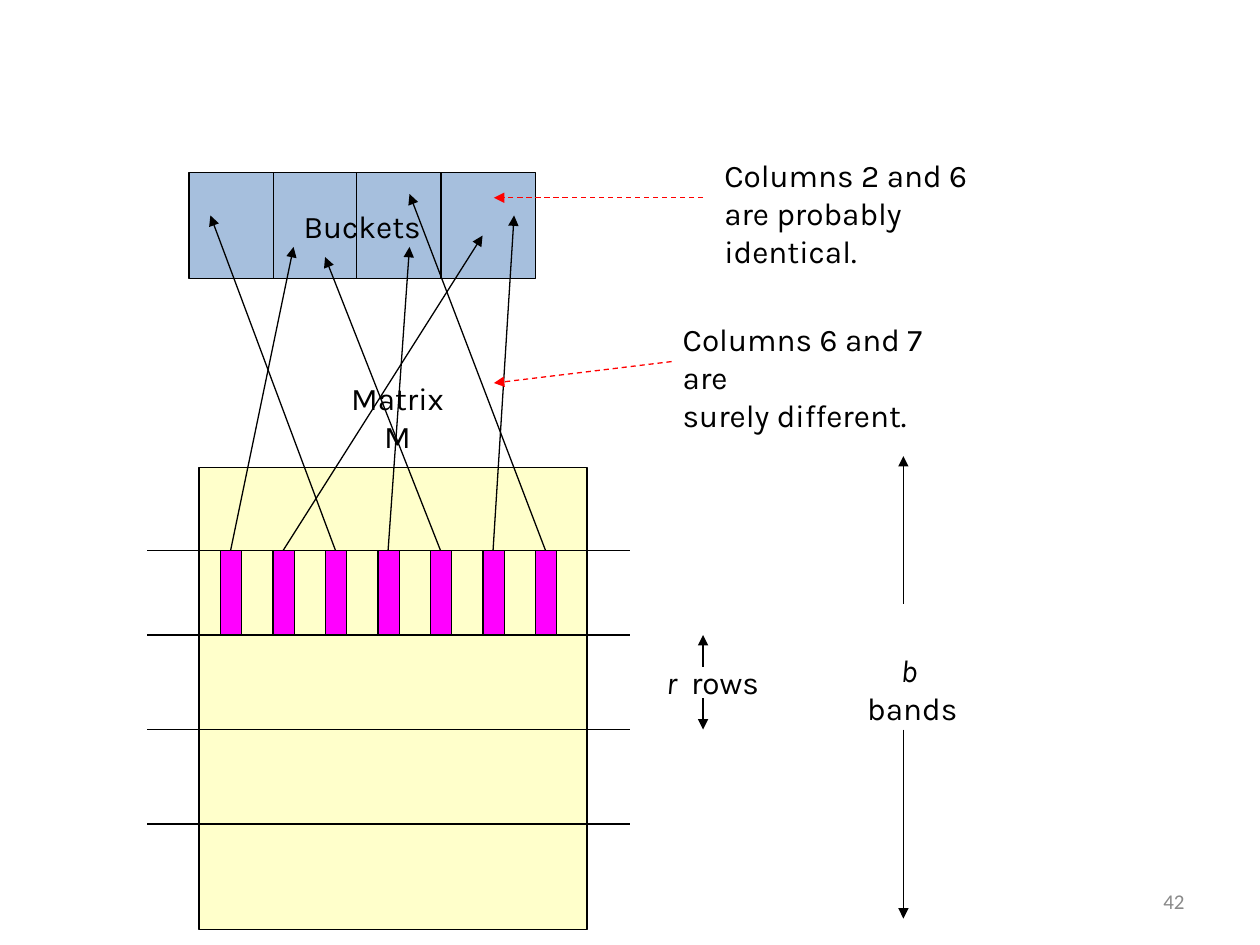
"""Build the locality-sensitive hashing slide: bands of matrix M hashed to buckets."""
from typing import NamedTuple, Optional

import lxml.etree
import pptx
import pptx.dml.color
import pptx.enum.dml
import pptx.enum.shapes
import pptx.enum.text
import pptx.oxml.ns
import pptx.util

Inches = pptx.util.Inches
Align = pptx.enum.text.PP_ALIGN
Anchor = pptx.enum.text.MSO_ANCHOR
BLACK, RED, MAGENTA = "000000", "FF0000", "FF00FF"
BAND_TOP, BAND_BOTTOM = 4.37, 5.04
BUCKET_TOP, BUCKET_BOTTOM = 1.37, 2.21


class Run(NamedTuple):
    text: str
    italic: bool = False


class Label(NamedTuple):
    left: float
    top: float
    width: float
    height: float
    paragraphs: list[list[Run]]
    align: Align = Align.CENTER
    size: float = 18
    font: str = "Karla"
    color: str = BLACK
    anchor: Anchor = Anchor.TOP


class Box(NamedTuple):
    left: float
    top: float
    width: float
    height: float
    fill: str
    opacity: Optional[int] = None


class Line(NamedTuple):
    x1: float
    y1: float
    x2: float
    y2: float
    arrow: bool = False
    color: str = BLACK
    dashed: bool = False


def rgb(color: str) -> pptx.dml.color.RGBColor:
    return pptx.dml.color.RGBColor.from_string(color)


def add_child(parent, tag: str, **attributes: str):
    return lxml.etree.SubElement(parent, pptx.oxml.ns.qn(tag), attributes)


def write(frame, label: Label) -> None:
    frame.vertical_anchor = label.anchor
    for index, runs in enumerate(label.paragraphs):
        paragraph = frame.add_paragraph() if index else frame.paragraphs[0]
        paragraph.alignment = label.align
        for part in runs:
            run = paragraph.add_run()
            run.text = part.text
            run.font.name = label.font
            run.font.size = pptx.util.Pt(label.size)
            run.font.italic = part.italic
            run.font.color.rgb = rgb(label.color)


def draw_label(slide, label: Label) -> None:
    textbox = slide.shapes.add_textbox(*map(Inches, label[:4]))
    textbox.text_frame.word_wrap = True
    write(textbox.text_frame, label)


def draw_box(slide, box: Box):
    rectangle = slide.shapes.add_shape(
        pptx.enum.shapes.MSO_SHAPE.RECTANGLE, *map(Inches, box[:4]))
    rectangle.shadow.inherit = False
    rectangle.fill.solid()
    rectangle.fill.fore_color.rgb = rgb(box.fill)
    rectangle.line.color.rgb = rgb(BLACK)
    rectangle.line.width = pptx.util.Pt(0.75)
    if box.opacity is not None:
        fill_color = rectangle.fill._xPr.find(".//" + pptx.oxml.ns.qn("a:srgbClr"))
        add_child(fill_color, "a:alpha", val=str(box.opacity * 1000))
    return rectangle


def draw_line(slide, line: Line) -> None:
    connector = slide.shapes.add_connector(
        pptx.enum.shapes.MSO_CONNECTOR.STRAIGHT, *map(Inches, line[:4]))
    connector.line.color.rgb = rgb(line.color)
    connector.line.width = pptx.util.Pt(0.75)
    if line.dashed:
        connector.line.dash_style = pptx.enum.dml.MSO_LINE.DASH
    if line.arrow:
        add_child(connector.line._get_or_add_ln(), "a:tailEnd", type="triangle")
    add_child(connector._element.spPr, "a:effectLst")


def main() -> None:
    deck = pptx.Presentation()
    deck.slide_width, deck.slide_height = Inches(10), Inches(7.5)
    slide = deck.slides.add_slide(deck.slide_layouts[6])

    matrix = Box(1.58, 3.71, 3.08, 3.67, "FFFF99", 50)
    buckets = Box(1.5, BUCKET_TOP, 2.75, BUCKET_BOTTOM - BUCKET_TOP, "4F81BD", 50)
    buckets_label = Label(*buckets[:4], [[Run("Buckets")]], anchor=Anchor.MIDDLE)
    labels = [
        Label(7.17, 6.95, 2.33, 0.4, [[Run("42")]], Align.RIGHT, 12,
              "Calibri", "898989", Anchor.MIDDLE),
        Label(2.58, 2.96, 1.15, 0.4, [[Run("Matrix M")]]),
        Label(5.17, 5.21, 0.97, 0.4, [[Run("r ", True), Run(" rows")]]),
        Label(6.7, 5.12, 1.08, 0.4, [[Run("b ", True), Run(" bands")]]),
        Label(5.65, 1.19, 2.66, 0.7,
              [[Run("Columns 2 and 6")], [Run("are probably identical.")]], Align.LEFT),
        Label(5.32, 2.49, 2.49, 0.7,
              [[Run("Columns 6 and 7 are")], [Run("surely different.")]], Align.LEFT),
    ]
    band_edges = [Line(1.17, y, 5, y) for y in (BAND_TOP, BAND_BOTTOM, 5.79, 6.54)]
    extents = [
        Line(5.58, 5.29, 5.58, 5.04, True),
        Line(5.58, 5.54, 5.58, 5.79, True),
        Line(7.17, 4.79, 7.17, 3.62, True),
        Line(7.17, 5.79, 7.17, 7.29, True),
    ]
    bucket_dividers = [Line(x, BUCKET_TOP, x, BUCKET_BOTTOM) for x in (2.17, 2.83, 3.5)]
    hash_targets = [(2.33, 1.96), (3.83, 1.87), (1.67, 1.71), (3.25, 1.96),
                    (2.58, 2.04), (4.08, 1.71), (3.25, 1.54)]
    column_lefts = [1.75 + column * 2.5 / 6 for column in range(len(hash_targets))]
    hashes = [Line(left + 0.08, BAND_TOP, *target, True)
              for left, target in zip(column_lefts, hash_targets)]
    pointers = [Line(5.58, 1.57, 3.92, 1.57, True, RED, True),
                Line(5.33, 2.87, 3.92, 3.04, True, RED, True)]

    draw_box(slide, matrix)
    for line in band_edges + extents:
        draw_line(slide, line)
    for left in column_lefts:
        draw_box(slide, Box(left, BAND_TOP, 0.17, BAND_BOTTOM - BAND_TOP, MAGENTA))
    write(draw_box(slide, buckets).text_frame, buckets_label)
    for line in bucket_dividers + hashes + pointers:
        draw_line(slide, line)
    for label in labels:
        draw_label(slide, label)

    deck.save("out.pptx")


if __name__ == "__main__":
    main()
